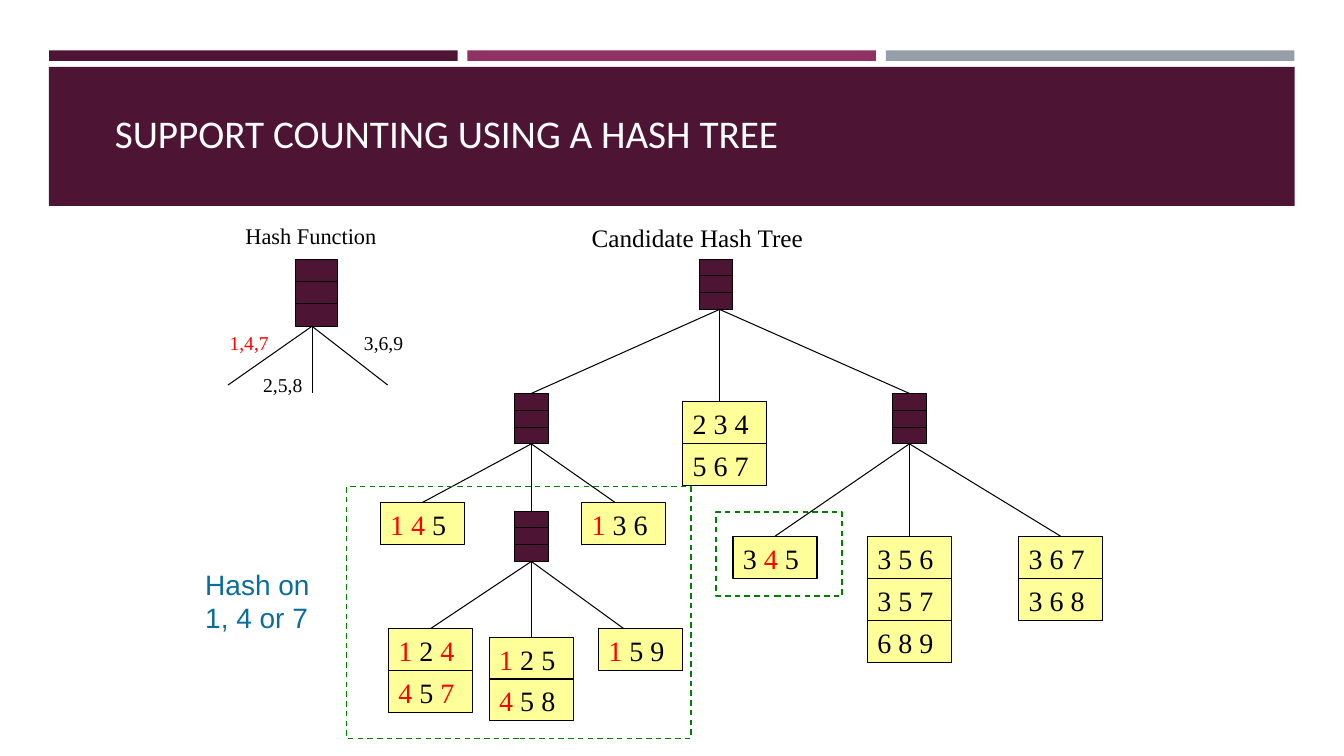
from dataclasses import dataclass

from lxml.etree import SubElement
from pptx import Presentation
from pptx.dml.color import RGBColor
from pptx.enum.dml import MSO_LINE_DASH_STYLE as Dash
from pptx.enum.shapes import MSO_CONNECTOR as Link, MSO_SHAPE as Preset
from pptx.enum.text import MSO_ANCHOR as Anchor, MSO_AUTO_SIZE as Fit, PP_ALIGN as Align
from pptx.oxml.ns import qn
from pptx.shapes.autoshape import Shape
from pptx.shapes.connector import Connector
from pptx.text.text import TextFrame
from pptx.util import Inches, Pt


@dataclass(frozen=True)
class Theme:
    plum: str = "4D1434"
    magenta: str = "903163"
    grey: str = "969FA7"
    leaf: str = "FFFF99"
    ink: str = "000000"
    match: str = "FF0000"
    note: str = "0C6D9C"
    region: str = "008000"
    white: str = "FFFFFF"
    serif: str = "Times New Roman"
    sans: str = "Arial"
    heading: str = "Calibri"
    title_size: float = 28
    item_size: float = 20
    tree_size: float = 18
    function_size: float = 16
    branch_size: float = 14
    thin: float = 0.75
    dashed: float = 1


THEME = Theme()


@dataclass(frozen=True)
class Area:
    left: int
    top: int
    width: int
    height: int


@dataclass(frozen=True)
class Label:
    text: str
    col: float
    row: float
    width: float
    height: float
    size: float
    color: str = THEME.ink
    font: str = THEME.serif
    wrap: bool = False


@dataclass(frozen=True)
class Node:
    col: float
    row: float
    items: tuple[str, ...] = ()
    children: tuple["Node", ...] = ()
    top_shift: float = 0
    foot_shift: float = 0
    width: float = 4
    height: float = 6


CELL = Inches(1) / 12
GRID_LEFT, GRID_TOP = Inches(3.77), Inches(2.57)
LEAF_WIDTH, LEAF_HEIGHT = 10, 5

deck = Presentation()
deck.slide_width, deck.slide_height = Inches(13.33), Inches(7.5)
page = deck.slides.add_slide(deck.slide_layouts[6])


def across(col: float) -> int:
    return round(GRID_LEFT + col * CELL)


def down(row: float) -> int:
    return round(GRID_TOP + row * CELL)


def cells(col: float, row: float, width: float, height: float) -> Area:
    return Area(across(col), down(row), round(width * CELL), round(height * CELL))


def percent(left: float, top: float, width: float, height: float) -> Area:
    wide, high = deck.slide_width / 100, deck.slide_height / 100
    return Area(round(left * wide), round(top * high), round(width * wide), round(height * high))


def draw_box(area: Area, fill: str = "", line: str = "", weight: float = THEME.thin) -> Shape:
    box = page.shapes.add_shape(Preset.RECTANGLE, area.left, area.top, area.width, area.height)
    box.shadow.inherit = False
    if fill:
        box.fill.solid()
        box.fill.fore_color.rgb = RGBColor.from_string(fill)
    else:
        box.fill.background()
    if line:
        box.line.color.rgb = RGBColor.from_string(line)
        box.line.width = Pt(weight)
    else:
        box.line.fill.background()
    return box


def draw_line(start: tuple[float, float], end: tuple[float, float]) -> Connector:
    line = page.shapes.add_connector(Link.STRAIGHT, across(start[0]), down(start[1]), across(end[0]), down(end[1]))
    line.line.color.rgb = RGBColor.from_string(THEME.ink)
    line.line.width = Pt(THEME.thin)
    SubElement(line._element.spPr, qn("a:effectLst"))
    return line


def write(frame: TextFrame, text: str, size: float, color: str, font: str) -> None:
    para = frame.paragraphs[0]
    para.alignment = Align.LEFT
    para.font.size, para.font.name = Pt(size), font
    para.font.color.rgb = RGBColor.from_string(color)
    for index, part in enumerate(text.split("|")):
        if part:
            span = para.add_run()
            span.text = part
            if index % 2:
                span.font.color.rgb = RGBColor.from_string(THEME.match)


def draw_text(area: Area, label: Label, anchor: Anchor = Anchor.TOP) -> None:
    box = page.shapes.add_textbox(area.left, area.top, area.width, area.height)
    frame = box.text_frame
    frame.auto_size = Fit.NONE if label.wrap else Fit.SHAPE_TO_FIT_TEXT
    frame.word_wrap = label.wrap
    frame.vertical_anchor = anchor
    write(frame, label.text, label.size, label.color, label.font)


def draw_bucket(node: Node) -> Shape:
    box = draw_box(cells(node.col, node.row, node.width, node.height), THEME.plum, THEME.ink)
    for third in (1, 2):
        row = node.row + node.height * third / 3
        draw_line((node.col, row), (node.col + node.width, row))
    return box


def draw_leaf(node: Node) -> Shape:
    boxes = []
    for index, item in enumerate(node.items):
        area = cells(node.col, node.row + index * LEAF_HEIGHT, LEAF_WIDTH, LEAF_HEIGHT)
        box = draw_box(area, THEME.leaf, THEME.ink)
        box.text_frame.word_wrap = False
        box.text_frame.vertical_anchor = Anchor.TOP
        write(box.text_frame, item, THEME.item_size, THEME.ink, THEME.serif)
        boxes.append(box)
    return boxes[0]


def draw_tree(node: Node) -> Shape:
    if node.items:
        return draw_leaf(node)
    bucket = draw_bucket(node)
    foot = (node.col + node.width / 2 + node.foot_shift, node.row + node.height)
    for child in node.children:
        width = LEAF_WIDTH if child.items else child.width
        target = draw_tree(child)
        branch = draw_line(foot, (child.col + width / 2 + child.top_shift, child.row))
        if not node.foot_shift:
            branch.begin_connect(bucket, 2)
        if not child.top_shift:
            branch.end_connect(target, 0)
    return bucket


TREE = Node(38, 0, foot_shift=0.4, children=(
    Node(16, 16, children=(
        Node(0, 29, ("|1 4| 5",)),
        Node(16, 30, children=(
            Node(1, 44, ("|1| 2 |4|", "|4| 5 |7|")),
            Node(13, 45, ("|1| 2 5", "|4| 5 8")),
            Node(26, 44, ("|1| 5 9",), top_shift=-2),
        )),
        Node(24, 29, ("|1| 3 6",), top_shift=-1),
    )),
    Node(36, 17, ("2 3 4", "5 6 7"), top_shift=-0.6),
    Node(61, 16, children=(
        Node(42, 33, ("3 |4| 5",)),
        Node(58, 33, ("3 5 6", "3 5 7", "6 8 9")),
        Node(76, 33, ("3 6 7", "3 6 8")),
    )),
))
HASH_FUNCTION = Node(-10.1, 0, width=5, height=8)
FUNCTION_FOOT = (-8.1, 8)
FUNCTION_ENDS = ((-18.1, 15), (-8.1, 16), (0.9, 15))
LABELS = (
    Label("1,4,7", -19.1, 8, 7.2, 4, THEME.branch_size, THEME.match),
    Label("2,5,8", -15.1, 13, 7.2, 4, THEME.branch_size),
    Label("3,6,9", -3.1, 8, 7.2, 4, THEME.branch_size),
    Label("Hash Function", -17.2, -5, 18.2, 4.4, THEME.function_size),
    Label("Candidate Hash Tree", 24, -5, 28, 4.8, THEME.tree_size),
    Label("Hash on 1, 4 or 7", -22, 36.1, 15, 9.2, THEME.item_size, THEME.note, THEME.sans, True),
)
REGIONS = (cells(-4, 27.1, 41, 30), cells(40, 30.1, 15, 10))

for index, color in enumerate((THEME.plum, THEME.magenta, THEME.grey)):
    draw_box(percent(3.65 + index * 31.13, 6.67, 30.4, 1.4), color)
draw_box(percent(3.63, 8.85, 92.7, 18.4), THEME.plum)
title = Label("SUPPORT COUNTING USING A HASH TREE", 0, 0, 0, 0, THEME.title_size, THEME.white, THEME.heading, True)
draw_text(percent(7.8, 13.6, 67.97, 7.73), title, Anchor.BOTTOM)

draw_tree(TREE)
draw_bucket(HASH_FUNCTION)
for end in FUNCTION_ENDS:
    draw_line(FUNCTION_FOOT, end)
for label in LABELS:
    draw_text(cells(label.col, label.row, label.width, label.height), label)
for area in REGIONS:
    region = draw_box(area, line=THEME.region, weight=THEME.dashed)
    region.line.dash_style = Dash.DASH

deck.save("out.pptx")
